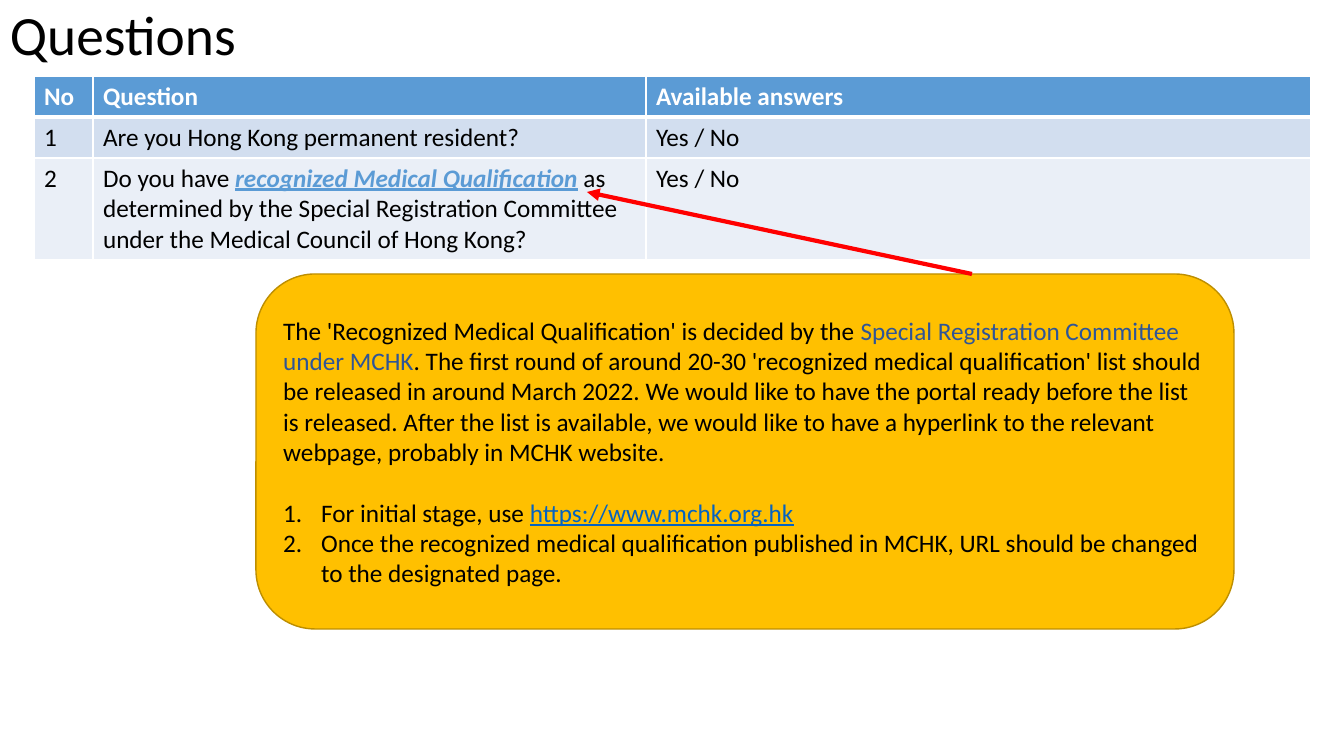
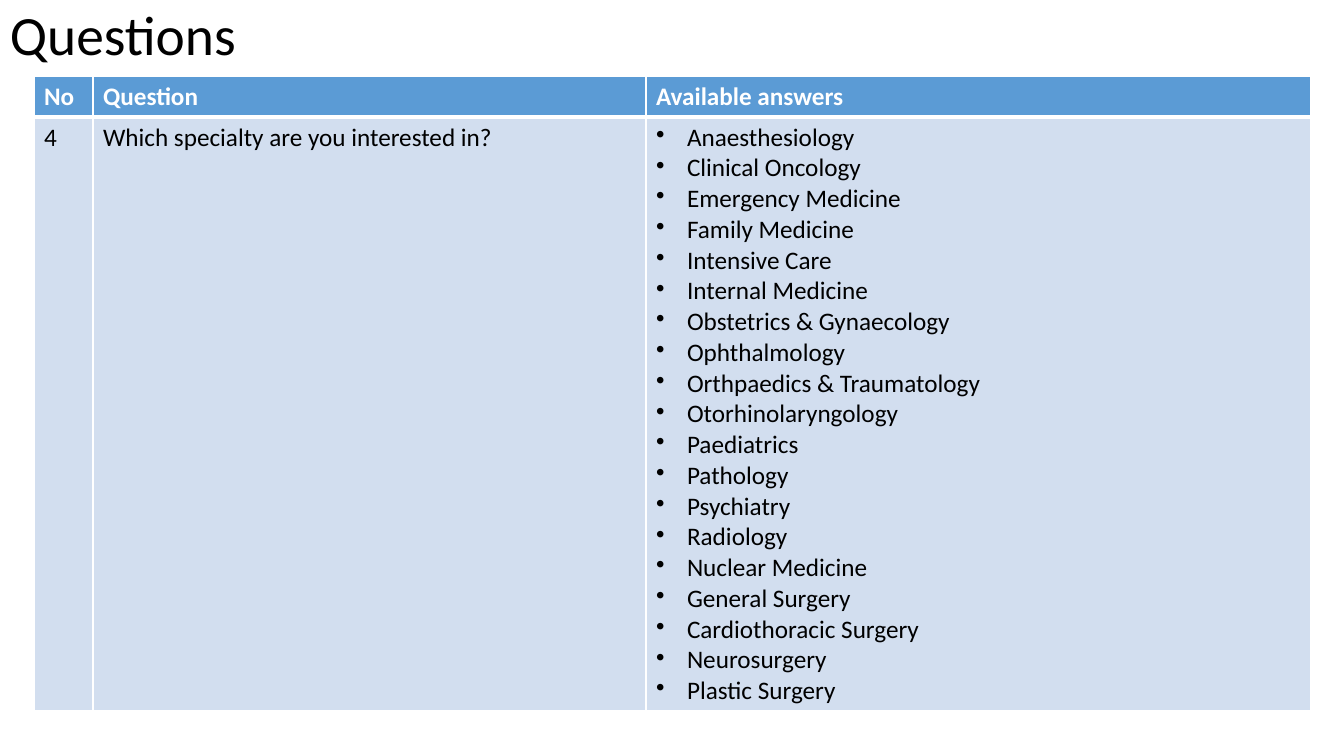
from dataclasses import dataclass

from lxml import etree
from pptx import Presentation
from pptx import util as u
from pptx.dml.color import RGBColor
from pptx.enum import shapes, text
from pptx.oxml import ns

PX = 914400 / 100.8


@dataclass(frozen=True)
class Theme:
    font: str = "Calibri"
    title_size: float = 39.6
    body_size: float = 18
    ink: str = "000000"
    paper: str = "FFFFFF"
    accent: str = "5B9BD5"
    bands: tuple = ("D2DEEF", "EAEFF7")
    note: str = "FFC000"
    note_edge: str = "BD8E00"
    committee: str = "2F5597"
    link: str = "0563C1"
    arrow: str = "FF0000"
    rule: float = 1
    heavy_rule: float = 3


THEME = Theme()
TITLE_BOX = (0, 0, 1344, 76)
TABLE_ORIGIN = (34, 76)
COLUMNS = (59, 553, 665)
HEADINGS = ("No", "Question", "Available answers")
HEADER_HEIGHT = 41
STYLES = {
    "term": dict(color=THEME.accent, bold=True, italic=True, underline=True),
    "committee": dict(color=THEME.committee),
    "link": dict(color=THEME.link, underline=True),
}
SPECIALTIES = (
    "Anaesthesiology", "Clinical Oncology", "Emergency Medicine",
    "Family Medicine", "Intensive Care", "Internal Medicine",
    "Obstetrics & Gynaecology", "Ophthalmology",
    "Orthpaedics & Traumatology", "Otorhinolaryngology", "Paediatrics",
    "Pathology", "Psychiatry", "Radiology", "Nuclear Medicine",
    "General Surgery", "Cardiothoracic Surgery", "Neurosurgery",
    "Plastic Surgery",
)


def px(length):
    return u.Emu(round(length * PX))


def rgb(value):
    return RGBColor.from_string(value)


def child(parent, tag, **attributes):
    return etree.SubElement(parent, ns.qn(tag), attributes)


def style_font(font, color, size=None, bold=None, italic=None, underline=None):
    font.color.rgb = rgb(color)
    font.bold, font.italic, font.underline = bold, italic, underline
    if size:
        font.name, font.size = THEME.font, u.Pt(size)


def write(paragraph, pieces, color=THEME.ink, size=THEME.body_size, bold=False):
    style_font(paragraph.font, color, size, bold)
    for piece in [pieces] if isinstance(pieces, str) else pieces:
        wording, style = (piece, None) if isinstance(piece, str) else piece
        run = paragraph.add_run()
        run.text = wording
        if style:
            style_font(run.font, **STYLES[style])


def list_marker(paragraph, indent, tag, **attributes):
    properties = paragraph._p.get_or_add_pPr()
    properties.set("marL", str(px(indent)))
    properties.set("indent", str(-px(indent)))
    properties.insert(0, etree.Element(ns.qn(tag), attributes))


def paragraphs(frame, count):
    return [frame.paragraphs[0]] + [frame.add_paragraph() for _ in range(count - 1)]


def add_title(slide, box):
    frame = slide.shapes.add_textbox(*map(px, box)).text_frame
    frame.word_wrap = True
    frame.vertical_anchor = text.MSO_ANCHOR.MIDDLE
    heading = frame.paragraphs[0]
    heading.line_spacing = 0.9
    write(heading, "Questions", size=THEME.title_size)


def rule_cell(cell, row):
    widths = dict(L=THEME.rule, R=THEME.rule,
                  T=THEME.heavy_rule if row == 1 else THEME.rule,
                  B=THEME.heavy_rule if row == 0 else THEME.rule)
    properties = cell._tc.get_or_add_tcPr()
    for side, width in widths.items():
        edge = child(properties, f"a:ln{side}", w=str(u.Pt(width)))
        child(child(edge, "a:solidFill"), "a:srgbClr", val=THEME.paper)


def fill_cell(cell, row, content):
    rule_cell(cell, row)
    header = row == 0
    cell.fill.solid()
    cell.fill.fore_color.rgb = rgb(THEME.accent if header else THEME.bands[(row - 1) % 2])
    if isinstance(content, tuple):
        for item, paragraph in zip(content, paragraphs(cell.text_frame, len(content))):
            write(paragraph, item)
            list_marker(paragraph, 31, "a:buChar", char="•")
    else:
        write(cell.text_frame.paragraphs[0], content,
              color=THEME.paper if header else THEME.ink, bold=header)


def add_questions(slide, origin, questions, heights):
    rows = [HEADINGS, *questions]
    heights = [HEADER_HEIGHT, *heights]
    box = (*origin, sum(COLUMNS), sum(heights))
    table = slide.shapes.add_table(len(rows), len(COLUMNS), *map(px, box)).table
    for column, width in zip(table.columns, COLUMNS):
        column.width = px(width)
    for row, (contents, height) in enumerate(zip(rows, heights)):
        table.rows[row].height = px(height)
        for column, content in enumerate(contents):
            fill_cell(table.cell(row, column), row, content)


def add_note(slide, box, explanation, steps):
    note = slide.shapes.add_shape(shapes.MSO_SHAPE.ROUNDED_RECTANGLE, *map(px, box))
    note.shadow.inherit = False
    note.fill.solid()
    note.fill.fore_color.rgb = rgb(THEME.note)
    note.line.color.rgb = rgb(THEME.note_edge)
    note.line.width = u.Pt(THEME.rule)
    frame = note.text_frame
    frame.word_wrap = True
    frame.vertical_anchor = text.MSO_ANCHOR.MIDDLE
    opening, *numbered = paragraphs(frame, 1 + len(steps))
    opening.alignment = text.PP_ALIGN.LEFT
    write(opening, explanation)
    for step, paragraph in zip(steps, numbered):
        paragraph.alignment = text.PP_ALIGN.LEFT
        write(paragraph, step)
        list_marker(paragraph, 38, "a:buAutoNum", type="arabicPeriod")
    numbered[0].space_before = u.Pt(22)


def add_pointer(slide, start, end):
    pointer = slide.shapes.add_connector(
        shapes.MSO_CONNECTOR.STRAIGHT, *map(px, (*start, *end)))
    pointer.line.color.rgb = rgb(THEME.arrow)
    pointer.line.width = u.Pt(THEME.heavy_rule)
    child(pointer.line._get_or_add_ln(), "a:tailEnd", type="triangle")
    child(pointer._element.spPr, "a:effectLst")


def question_slide(deck, questions, heights):
    slide = deck.slides.add_slide(deck.slide_layouts[6])
    add_title(slide, TITLE_BOX)
    add_questions(slide, TABLE_ORIGIN, questions, heights)
    return slide


def eligibility_slide(deck):
    slide = question_slide(deck, [
        ("1", "Are you Hong Kong permanent resident?", "Yes / No"),
        ("2", ["Do you have ", ("recognized Medical Qualification", "term"),
               " as determined by the Special Registration Committee under the "
               "Medical Council of Hong Kong?"], "Yes / No"),
    ], (41, 102))
    left, top, width, height = 256, 274, 978, 355
    add_note(slide, (left, top, width, height), [
        "The 'Recognized Medical Qualification' is decided by the ",
        ("Special Registration Committee under MCHK", "committee"),
        ". The first round of around 20-30 'recognized medical qualification' "
        "list should be released in around March 2022. We would like to have "
        "the portal ready before the list is released. After the list is "
        "available, we would like to have a hyperlink to the relevant webpage, "
        "probably in MCHK website.",
    ], [
        ["For initial stage, use ", ("https://www.mchk.org.hk", "link")],
        "Once the recognized medical qualification published in MCHK, URL "
        "should be changed to the designated page.",
    ])
    add_pointer(slide, (left + 716, top), (587, 192))


def specialty_slide(deck):
    question_slide(deck, [
        ("4", "Which specialty are you interested in?", SPECIALTIES),
    ], (594,))


deck = Presentation()
deck.slide_width, deck.slide_height = px(1344), px(756)
eligibility_slide(deck)
specialty_slide(deck)
deck.save("out.pptx")
